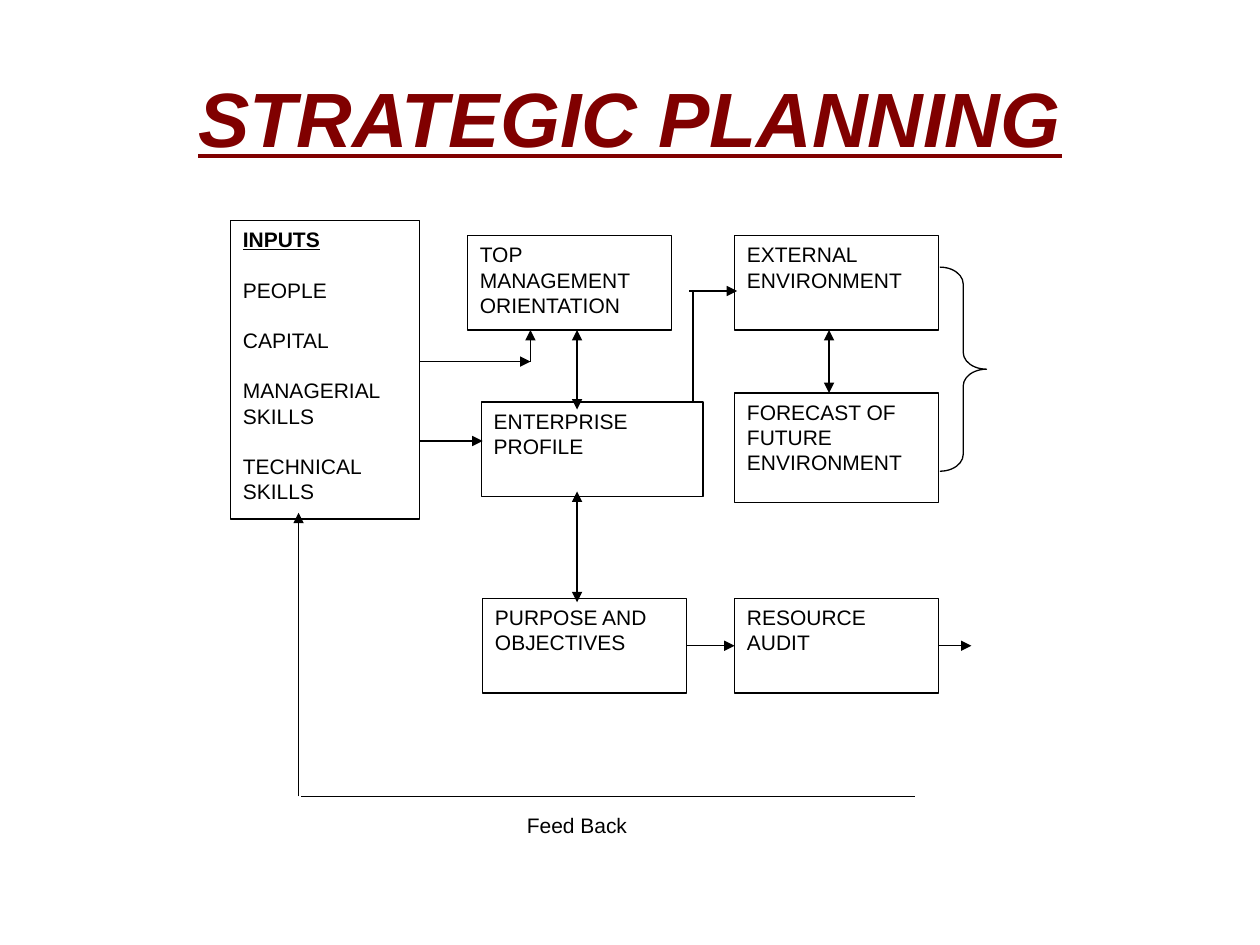
from lxml import etree
from pptx import Presentation
from pptx import util as u
from pptx.dml.color import RGBColor
from pptx.enum import shapes, text
from pptx.oxml import ns

THEME = {
    "font": "Arial", "ink": RGBColor(0, 0, 0), "paper": RGBColor(255, 255, 255),
    "title": RGBColor(128, 0, 0), "head": u.Pt(44), "body": u.Pt(12),
    "lead": u.Pt(14.4), "rule": u.Pt(0.75),
}

TITLE = ("STRATEGIC PLANNING", (0.5, 0.3, 9, 1.25))
LABEL = ("Feed Back", (4.08, 6.4, 1, 0.37))

# Name: (left, top, width, height), paragraphs
BOXES = {
    "inputs": ((1.83, 1.75, 1.5, 2.37), [
        "INPUTS", "PEOPLE", "CAPITAL", "MANAGERIAL SKILLS", "TECHNICAL SKILLS"]),
    "top": ((3.71, 1.87, 1.62, 0.75), ["TOP MANAGEMENT ORIENTATION"]),
    "external": ((5.83, 1.87, 1.62, 0.75), ["EXTERNAL ENVIRONMENT"]),
    "profile": ((3.82, 3.19, 1.76, 0.75), ["ENTERPRISE PROFILE"]),
    "purpose": ((3.83, 4.75, 1.62, 0.75), ["PURPOSE AND OBJECTIVES"]),
    "forecast": ((5.83, 3.12, 1.62, 0.87), ["FORECAST OF FUTURE ENVIRONMENT"]),
    "audit": ((5.83, 4.75, 1.62, 0.75), ["RESOURCE AUDIT"]),
}

BRACE = (7.46, 2.12, 0.37, 1.62)

# Start, end, arrowheads: "" none, ">" at the end, "<>" at both ends
LINES = [
    ((3.33, 2.87), (4.21, 2.87), ">"),
    ((3.33, 3.5), (3.83, 3.5), ">"),
    ((4.21, 2.87), (4.21, 2.62), ">"),
    ((4.58, 2.62), (4.58, 3.25), "<>"),
    ((4.58, 3.9), (4.58, 4.78), "<>"),
    ((5.33, 2.25), (5.33, 2.25), ">"),
    ((6.58, 2.62), (6.58, 3.12), "<>"),
    ((5.5, 3.18), (5.5, 2.31), ""),
    ((5.47, 2.31), (5.85, 2.31), ">"),
    ((2.37, 6.32), (2.37, 4.07), ">"),
    ((2.39, 6.32), (7.26, 6.32), ""),
]
RIGHT, LEFT = 3, 1


def inch(nums):
    return [u.Inches(n) for n in nums]


def write(shape, paras, size, color, align=text.PP_ALIGN.LEFT, lead=None):
    frame = shape.text_frame
    frame.word_wrap = True
    frame.vertical_anchor = text.MSO_ANCHOR.TOP
    frame.text = "\n".join(paras)
    for i, para in enumerate(frame.paragraphs):
        para.alignment = align
        if lead:
            para.line_spacing = lead
        if i:
            para.space_before = lead
        font = para.runs[0].font
        font.name, font.size = THEME["font"], size
        font.color.rgb = color
    return frame


def stroke(shape):
    shape.line.color.rgb = THEME["ink"]
    shape.line.width = THEME["rule"]


def add_box(slide, place, paras):
    box = slide.shapes.add_shape(shapes.MSO_SHAPE.RECTANGLE, *inch(place))
    box.shadow.inherit = False
    box.fill.solid()
    box.fill.fore_color.rgb = THEME["paper"]
    stroke(box)
    write(box, paras, THEME["body"], THEME["ink"], lead=THEME["lead"])
    return box


def add_line(slide, start, end, heads):
    line = slide.shapes.add_connector(
        shapes.MSO_CONNECTOR.STRAIGHT, *inch(start + end))
    stroke(line)
    pen = line.line._get_or_add_ln()
    for sign, tag in (("<", "a:headEnd"), (">", "a:tailEnd")):
        if sign in heads:
            etree.SubElement(pen, ns.qn(tag), type="triangle")
    etree.SubElement(line._element.spPr, ns.qn("a:effectLst"))
    return line


def main():
    deck = Presentation()
    deck.slide_width, deck.slide_height = inch((10, 7.5))
    slide = deck.slides.add_slide(deck.slide_layouts[6])
    center = text.PP_ALIGN.CENTER

    words, place = TITLE
    title = slide.shapes.add_textbox(*inch(place))
    frame = write(title, [words], THEME["head"], THEME["title"], center)
    frame.vertical_anchor = text.MSO_ANCHOR.MIDDLE
    font = frame.paragraphs[0].runs[0].font
    font.bold = font.italic = font.underline = True

    brace = slide.shapes.add_shape(shapes.MSO_SHAPE.RIGHT_BRACE, *inch(BRACE))
    brace.shadow.inherit = False
    brace.fill.background()
    brace.adjustments[0] = 0.36
    stroke(brace)

    boxes = {name: add_box(slide, *item) for name, item in BOXES.items()}
    font = boxes["inputs"].text_frame.paragraphs[0].runs[0].font
    font.bold = font.underline = True

    for item in LINES:
        add_line(slide, *item)
    link = add_line(slide, (5.45, 5.12), (5.83, 5.12), ">")
    link.begin_connect(boxes["purpose"], RIGHT)
    link.end_connect(boxes["audit"], LEFT)
    out = add_line(slide, (7.45, 5.12), (7.71, 5.12), ">")
    out.begin_connect(boxes["audit"], RIGHT)
    out.end_y = out.begin_y

    words, place = LABEL
    label = slide.shapes.add_textbox(*inch(place))
    write(label, [words], THEME["body"], THEME["ink"], center, THEME["lead"])

    deck.save("out.pptx")


if __name__ == "__main__":
    main()
